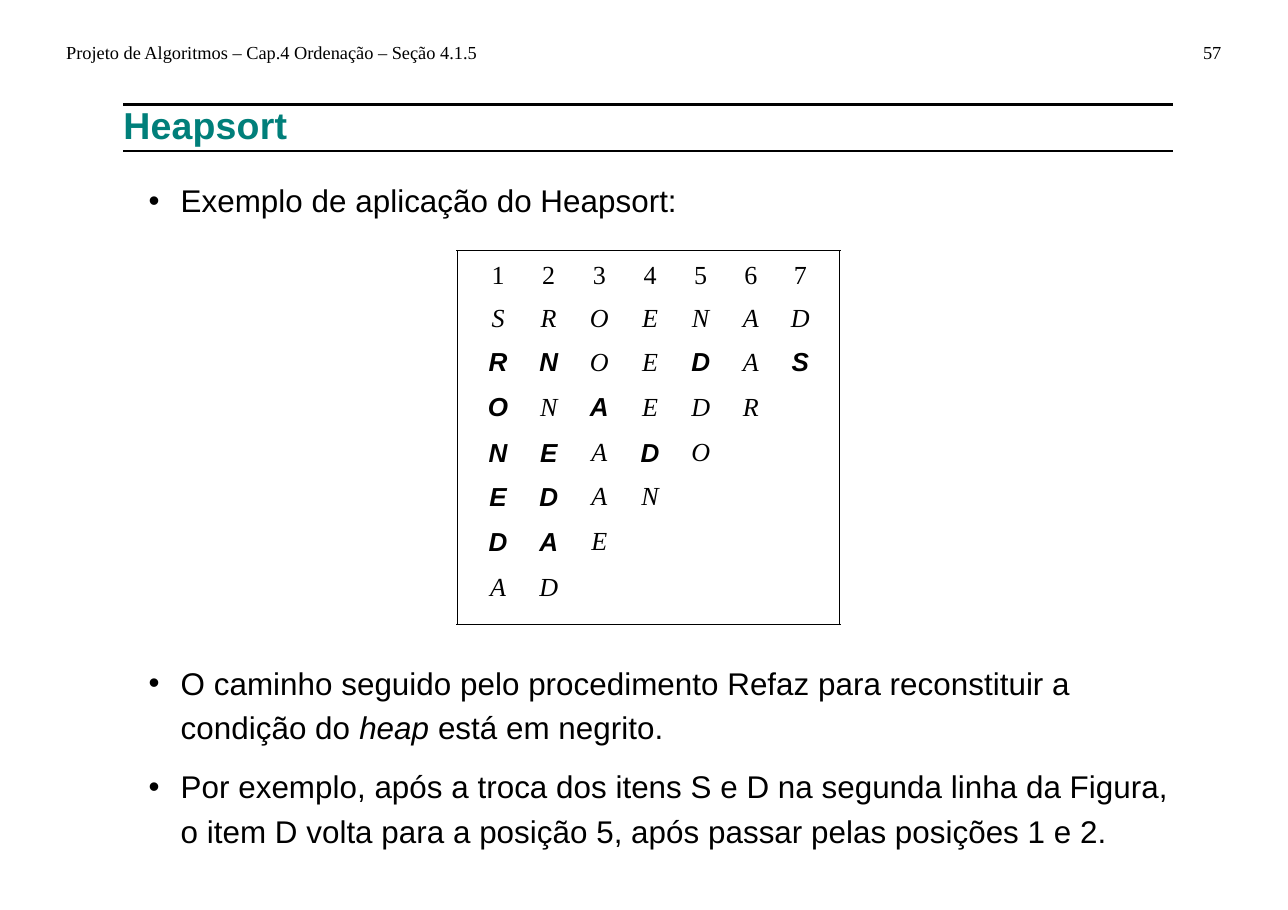
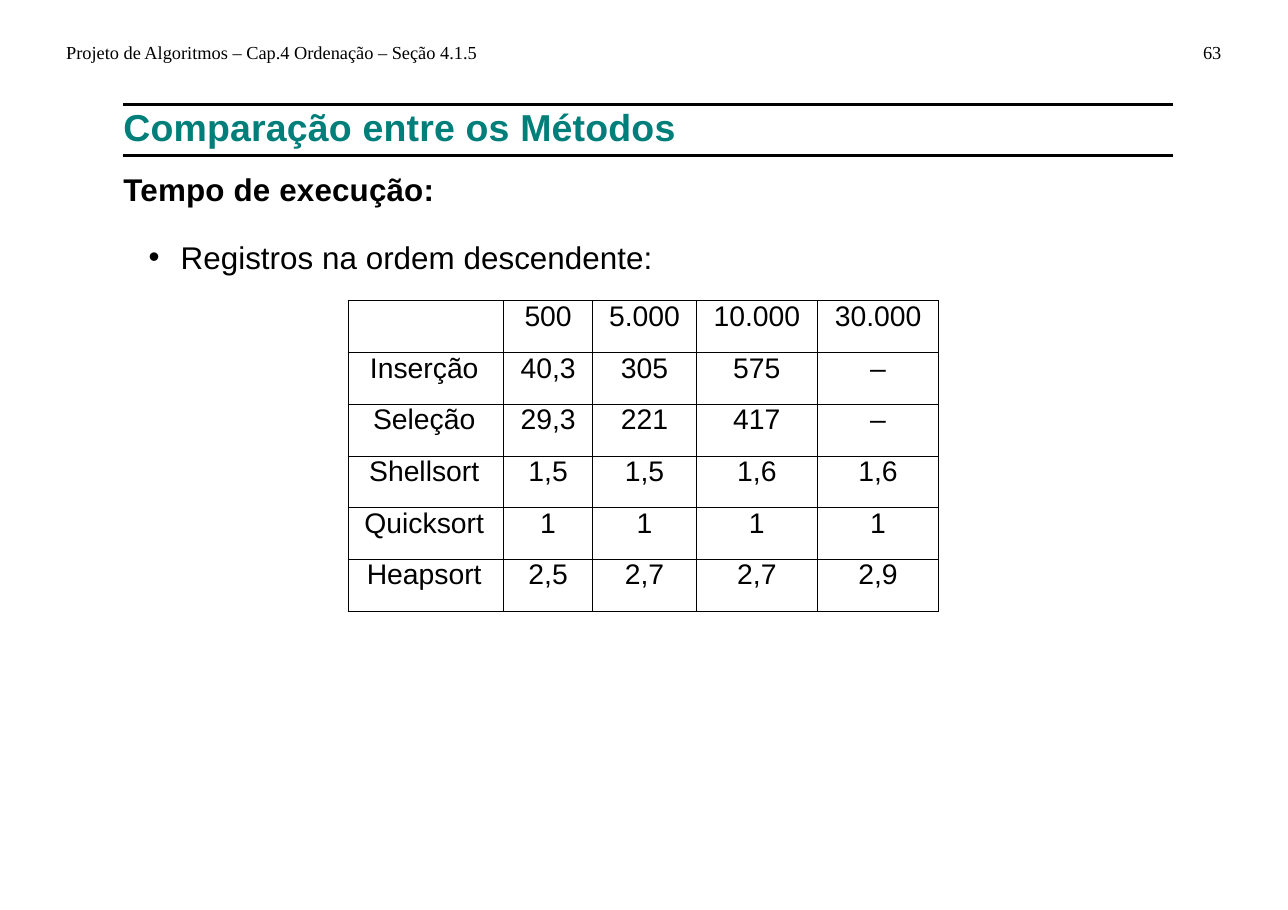
from lxml.etree import SubElement as Sub
from pptx import Presentation
from pptx.dml.color import RGBColor
from pptx.enum.shapes import MSO_CONNECTOR as Link
from pptx.enum.text import MSO_ANCHOR as Anchor, MSO_AUTO_SIZE as Auto, PP_ALIGN as Align
from pptx.oxml import parse_xml
from pptx.oxml.ns import nsdecls, qn
from pptx.util import Inches, Pt


def ink(code):
    return RGBColor.from_string(code)


def write(par, text, hue, look, lay, track=0):
    for key, val in lay.items():
        setattr(par, key, val)
    for pos, bit in enumerate(text.split("_")):
        run = par.add_run()
        run.text = bit
        for key, val in look.items():
            setattr(run.font, key, val)
        run.font.color.rgb = ink(hue)
        if pos % 2:
            run.font.italic = True
        if track:
            run._r.get_or_add_rPr().set("spc", str(track))


BLACK, TEAL = "000000", "007F7A"
SANS, SERIF = "Arial", "Times New Roman"
LEFT, RIGHT = 1.12, 10.65
THICK, THIN = 1.7, 0.69
SIDES = ("left", "top", "width", "height")
FLAT = dict(margin_left=0, margin_top=0, margin_right=0, margin_bottom=0)
FRAME = dict(FLAT, word_wrap=True, auto_size=Auto.NONE, vertical_anchor=Anchor.TOP)
HEAD = dict(name=SERIF, size=Pt(12))
TITLE = dict(name=SANS, size=Pt(24.5), bold=True)
BODY = dict(name=SANS, size=Pt(20.5), bold=False)
CELL = dict(name=SANS, size=Pt(18.5), bold=False)
ITEM = dict(name=SERIF, size=Pt(17), bold=False)

pages = [
    dict(
        num="57", title="Heapsort", top=0.92, rule=1.37,
        lists=[
            dict(top=1.64, high=0.4, lead=25, gap=0,
                 rows=["Exemplo de aplicação do Heapsort:"]),
            dict(top=5.97, high=1.75, lead=28.8, gap=10, rows=[
                "O caminho seguido pelo procedimento Refaz para reconstituir a "
                "condição do _heap_ está em negrito.",
                "Por exemplo, após a troca dos itens S e D na segunda linha da "
                "Figura, o item D volta para a posição 5, após passar pelas "
                "posições 1 e 2."]),
        ],
        edges=[(4.14, 2.27, 7.63, 2.27), (4.15, 2.27, 4.15, 5.67),
               (7.62, 2.27, 7.62, 5.67), (4.14, 5.67, 7.63, 5.67)],
        at=(4.29, 2.37), cols=[0.46] * 5 + [0.45] * 2,
        highs=[0.39, 0.4, 0.41, 0.41, 0.4, 0.41, 0.41, 0.39],
        look=ITEM, lined=False,
        grid=["1 2 3 4 5 6 7", "S R O E N A D", "*R *N O E *D A *S",
              "*O N *A E D R", "*N *E A *D O", "*E *D A N", "*D *A E", "A D"],
    ),
    dict(
        num="63", title="Comparação entre os Métodos", top=0.94, rule=1.41,
        lists=[dict(top=1.54, high=1, lead=25, gap=19.2, head=True,
                    rows=["Tempo de execução:", "Registros na ordem descendente:"])],
        edges=[], at=(3.16, 2.73),
        cols=[1.41, 0.81, 0.94, 1.1, 1.1], highs=[0.47] * 6, look=CELL, lined=True,
        grid=["- 500 5.000 10.000 30.000", "Inserção 40,3 305 575 –",
              "Seleção 29,3 221 417 –", "Shellsort 1,5 1,5 1,6 1,6",
              "Quicksort 1 1 1 1", "Heapsort 2,5 2,7 2,7 2,9"],
    ),
]

deck = Presentation()
deck.slide_width, deck.slide_height = Inches(11.69), Inches(8.26)

for page in pages:
    lists, lined = page["lists"], page["lined"]
    slide = deck.slides.add_slide(deck.slide_layouts[3 if len(lists) == 2 else 1])
    shapes = slide.shapes

    for left, wide, text in (
        (0.6, 3.79, "Projeto de Algoritmos – Cap.4 Ordenação – Seção 4.1.5"),
        (10.92, 0.2, page["num"]),
    ):
        box = shapes.add_textbox(*map(Inches, (left, 0.37, wide, 0.21)))
        for key, val in dict(FLAT, word_wrap=False).items():
            setattr(box.text_frame, key, val)
        write(box.text_frame.paragraphs[0], text, BLACK, HEAD, {})

    lines = [((LEFT, y, RIGHT, y), THICK) for y in (0.95, page["rule"])]
    lines += [(edge, THIN) for edge in page["edges"]]
    for ends, width in lines:
        line = shapes.add_connector(Link.STRAIGHT, *map(Inches, ends))
        line.line.color.rgb = ink(BLACK)
        line.line.width = Pt(width)
        Sub(line._element.spPr, qn("a:effectLst"))

    spots = [(shapes.title, page["top"], 0.44)]
    spots += [(slide.placeholders[n], part["top"], part["high"])
              for n, part in enumerate(lists, 1)]
    for hold, top, high in spots:
        for side, val in zip(SIDES, (LEFT, top, 9.62, high)):
            setattr(hold, side, Inches(val))
        for key, val in FRAME.items():
            setattr(hold.text_frame, key, val)

    lay = dict(alignment=Align.LEFT, line_spacing=Pt(30), space_before=Pt(0))
    write(shapes.title.text_frame.paragraphs[0], page["title"], TEAL, TITLE, lay, 14)

    for n, part in enumerate(lists, 1):
        text = slide.placeholders[n].text_frame
        for pos, row in enumerate(part["rows"]):
            par = text.add_paragraph() if pos else text.paragraphs[0]
            head = part.get("head", False) and pos == 0
            props = par._p.get_or_add_pPr()
            props.set("marL", str(0 if head else Inches(0.52)))
            props.set("indent", str(0 if head else Inches(-0.29)))
            if head:
                Sub(props, qn("a:buNone"))
            else:
                Sub(props, qn("a:buChar")).set("char", "•")
            lay = dict(alignment=Align.LEFT, line_spacing=Pt(part["lead"]),
                       space_before=Pt(part["gap"] if pos else 0))
            write(par, row, BLACK, dict(BODY, bold=head), lay, 10 if head else 4)

    cols, highs = page["cols"], page["highs"]
    size = page["at"] + (sum(cols), sum(highs))
    table = shapes.add_table(len(highs), len(cols), *map(Inches, size)).table
    table.first_row = table.horz_banding = False
    for col, wide in zip(table.columns, cols):
        col.width = Inches(wide)
    for r, (high, row) in enumerate(zip(highs, page["grid"])):
        table.rows[r].height = Inches(high)
        words = row.split()
        for c in range(len(cols)):
            cell = table.cell(r, c)
            pad = Inches(0.03 if lined and c == 0 else 0)
            for key, val in dict(FLAT, margin_right=pad).items():
                setattr(cell, key, val)
            if lined:
                for side in "LRTB":
                    cell._tc.get_or_add_tcPr().append(parse_xml(
                        f'<a:ln{side} {nsdecls("a")} w="{Pt(THIN)}"><a:solidFill>'
                        f'<a:srgbClr val="{BLACK}"/></a:solidFill></a:ln{side}>'))
            cell.fill.background()
            word = words[c] if c < len(words) else "-"
            if word != "-":
                look = dict(page["look"], italic=not lined and r > 0)
                if word[0] == "*":
                    look.update(name=SANS, bold=True)
                write(cell.text_frame.paragraphs[0], word.lstrip("*"), BLACK, look,
                      dict(alignment=Align.CENTER))

deck.save("out.pptx")
